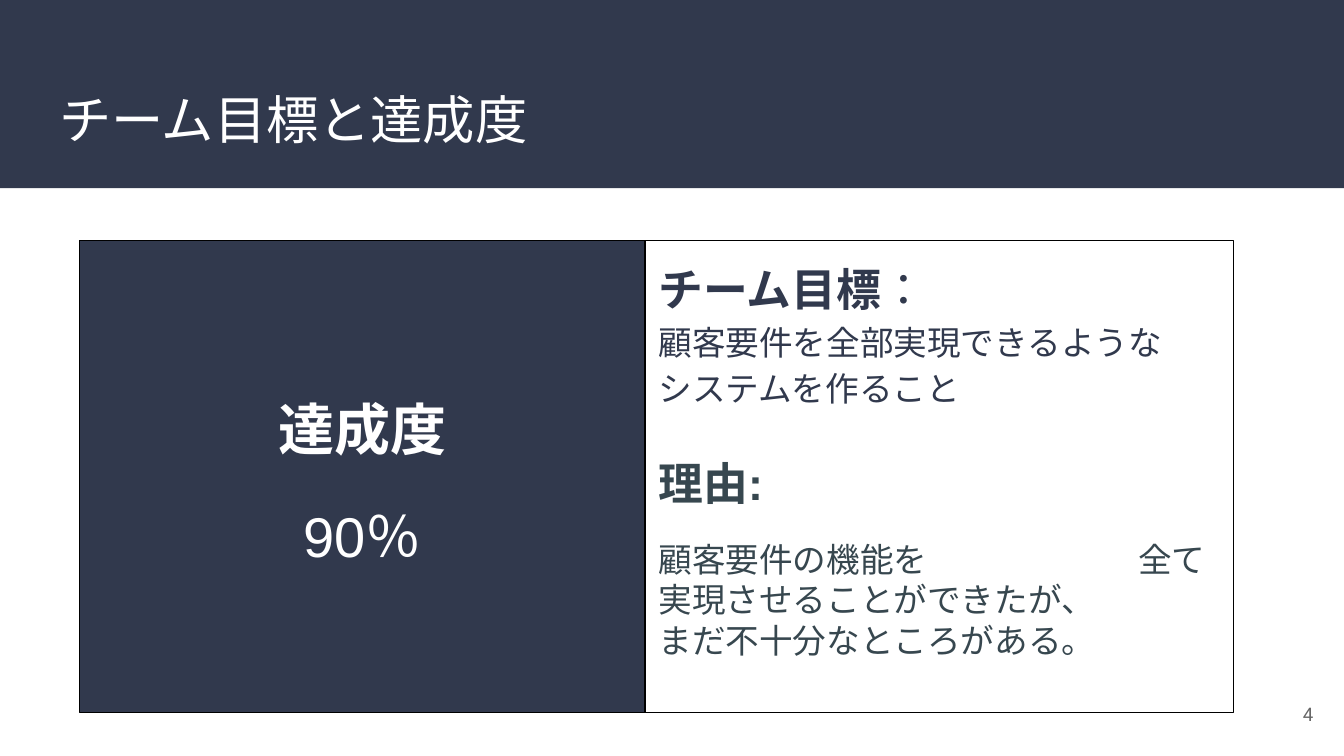
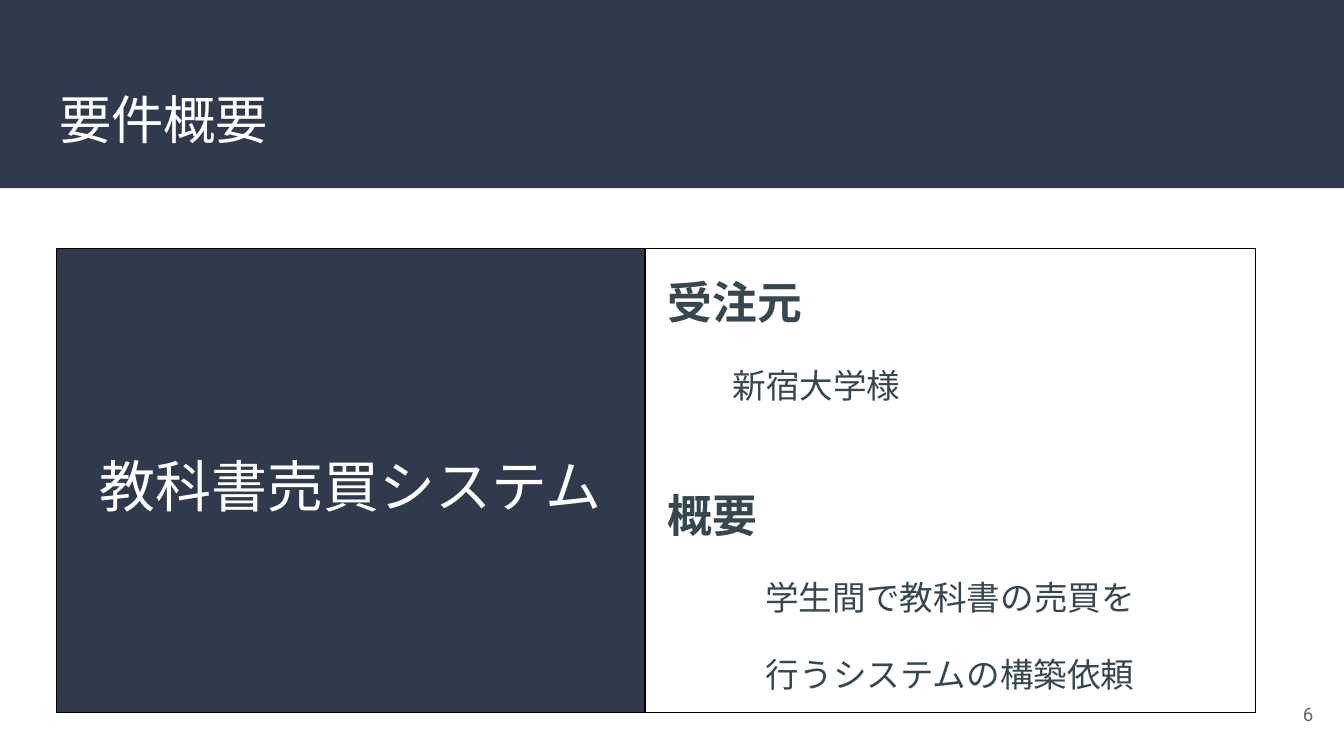
from pptx import Presentation
from pptx import util as u
from pptx.dml.color import RGBColor
from pptx.enum import lang, shapes, text
from pptx.oxml import ns
from lxml import etree

WIDTH = 10
HEIGHT = WIDTH * 9 / 16
NAVY, SLATE, GREY, WHITE, BLACK = "31394D", "37474F", "666666", "FFFFFF", "000000"
MIDDLE_COLUMN, PANEL_BOTTOM = 4.8, 5.3
TOP, MIDDLE = text.MSO_ANCHOR.TOP, text.MSO_ANCHOR.MIDDLE
CENTER, LEFT, RIGHT = text.PP_ALIGN.CENTER, text.PP_ALIGN.LEFT, text.PP_ALIGN.RIGHT


def color(value):
    return RGBColor.from_string(value)


def place(box, left, top, width, height):
    box.left, box.top = u.Inches(left), u.Inches(top)
    box.width, box.height = u.Inches(width), u.Inches(height)


def paint(box, fill=None, line=None):
    if fill:
        box.fill.solid()
        box.fill.fore_color.rgb = color(fill)
    else:
        box.fill.background()
    if line:
        box.line.color.rgb = color(line)
        box.line.width = u.Pt(0.75)
    else:
        box.line.fill.background()


def frame_text(box, anchor):
    frame = box.text_frame
    frame.word_wrap = True
    frame.auto_size = text.MSO_AUTO_SIZE.NONE
    frame.vertical_anchor = anchor
    frame.margin_left = frame.margin_right = u.Inches(0.1)
    frame.margin_top = frame.margin_bottom = u.Inches(0.1)
    return frame


def add_para(frame, words, size, fill, bold=False, font="Arial", align=LEFT,
             spacing=1.15, before=0, after=0, indent=0):
    para = frame.paragraphs[0]
    if para.runs:
        para = frame.add_paragraph()
    para.alignment, para.line_spacing = align, spacing
    para.space_before, para.space_after = u.Pt(before), u.Pt(after)
    props = para._p.get_or_add_pPr()
    props.set("marL", str(u.Inches(indent)))
    props.set("indent", "0")
    etree.SubElement(props, ns.qn("a:buNone"))
    para.font.size, para.font.bold, para.font.name = u.Pt(size), bold, font
    para.font.color.rgb = color(fill)
    para.font.language_id = lang.MSO_LANGUAGE_ID.JAPANESE
    add_span(para, words)
    return para


def add_span(para, words):
    span = para.add_run()
    span.text = words
    return span


def add_gap(para, points):
    span = add_span(para, " ")
    span._r.get_or_add_rPr().set("spc", str(points * 100))


def add_page(deck, title, number, title_font):
    page = deck.slides.add_slide(deck.slide_layouts[3])
    band = page.shapes.add_shape(shapes.MSO_SHAPE.RECTANGLE, 0, 0,
                                 deck.slide_width, u.Inches(1.4))
    band.shadow.inherit = False
    paint(band, NAVY)
    page.shapes._spTree.insert(2, band._element)
    place(page.shapes.title, 0.34, 0.55, 9.32, 0.68)
    add_para(frame_text(page.shapes.title, TOP), title, 28, WHITE,
             font=title_font, spacing=1)
    box = page.shapes.add_textbox(0, 0, 0, 0)
    place(box, 9.27, 5.1, 0.6, 0.43)
    add_para(frame_text(box, MIDDLE), number, 10, GREY, font="Roboto",
             align=RIGHT, spacing=1)
    return page


def add_panels(page, left, top, right, detail_anchor):
    summary, detail = page.placeholders[1], page.placeholders[2]
    height = PANEL_BOTTOM - top
    place(summary, left, top, MIDDLE_COLUMN - left, height)
    place(detail, MIDDLE_COLUMN, top, right - MIDDLE_COLUMN, height)
    paint(summary, NAVY, BLACK)
    paint(detail, line=BLACK)
    return frame_text(summary, MIDDLE), frame_text(detail, detail_anchor)


def build_goal(deck):
    page = add_page(deck, "チーム目標と達成度", "4", "Noto Sans CJK JP")
    summary, detail = add_panels(page, 0.59, 1.79, 9.18, TOP)
    add_para(summary, "達成度", 30, WHITE, bold=True, align=CENTER)
    rate = add_para(summary, "90", 30, WHITE, align=CENTER, before=16)
    add_span(rate, "％").font.name = "Arial Narrow"
    goal = add_para(detail, "チーム目標", 24, NAVY, bold=True)
    add_span(goal, "：").font.bold = False
    for words in ("顧客要件を全部実現できるような", "システムを作ること"):
        add_para(detail, words, 18, NAVY)
    add_para(detail, "理由:", 24, SLATE, bold=True, spacing=1, before=25)
    reason = add_para(detail, "顧客要件の機能を", 18, SLATE, spacing=1, before=16)
    add_gap(reason, 109)
    add_span(reason, "全て実現させることができたが、")
    add_para(detail, "まだ不十分なところがある。", 18, SLATE, spacing=1)


def build_overview(deck):
    page = add_page(deck, "要件概要", "6", "TeX Gyre Schola")
    summary, detail = add_panels(page, 0.42, 1.85, 9.34, MIDDLE)
    add_para(summary, "教科書売買システム", 30, WHITE, align=CENTER, after=16)
    add_para(detail, "受注元", 24, SLATE, bold=True, indent=0.07)
    add_para(detail, "新宿大学様", 18, SLATE, before=16, indent=0.55)
    add_para(detail, "概要", 24, SLATE, bold=True, before=40, indent=0.07)
    add_para(detail, "学生間で教科書の売買を", 18, SLATE, align=CENTER, before=16)
    add_para(detail, "行うシステムの構築依頼", 18, SLATE, align=CENTER, before=16,
             after=16)


def main():
    deck = Presentation()
    deck.slide_width, deck.slide_height = u.Inches(WIDTH), u.Inches(HEIGHT)
    build_goal(deck)
    build_overview(deck)
    deck.save("out.pptx")


if __name__ == "__main__":
    main()
